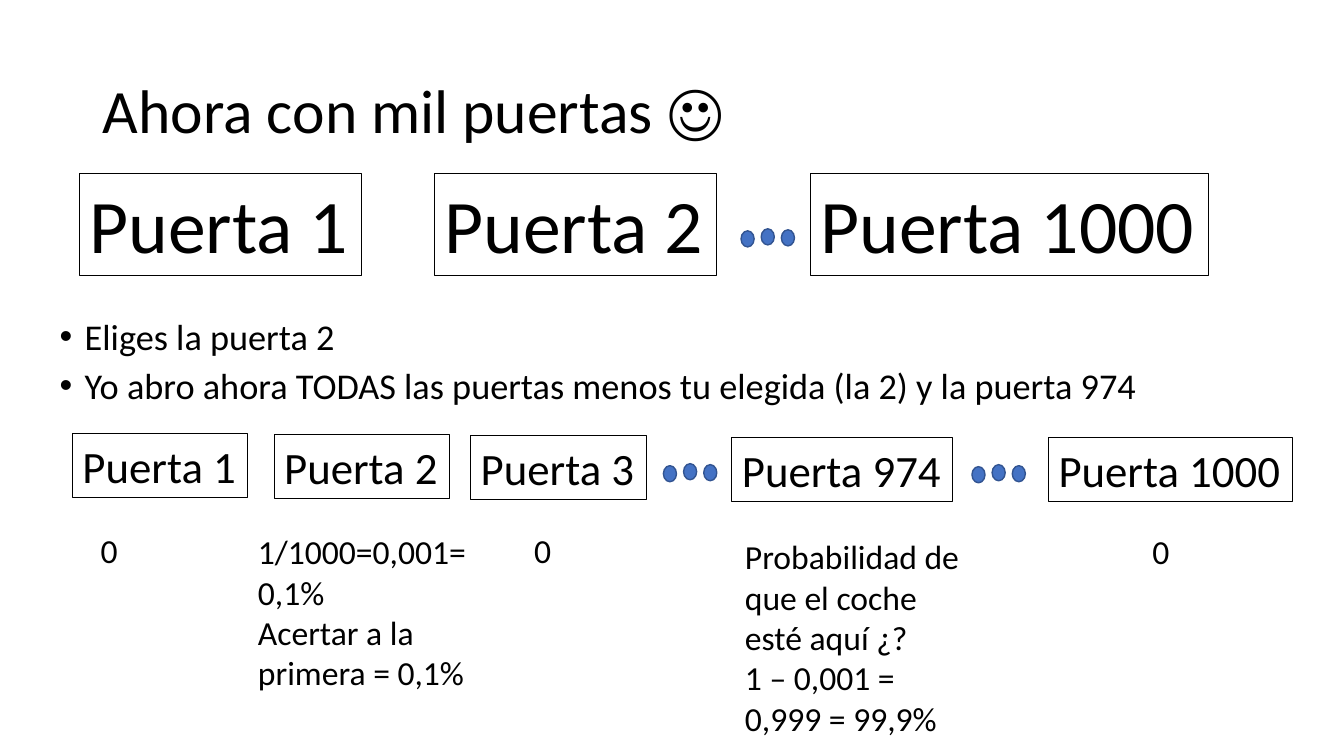
from pptx import Presentation, util as u
from pptx.dml.color import RGBColor
from pptx.enum import shapes, text

# Content: text, then left, top, width, height in inches
TITLE = "Ahora con mil puertas ☺"
STEPS = [
    "Eliges la puerta 2",
    "Yo abro ahora TODAS las puertas menos tu elegida (la 2) y la puerta 974",
]
LARGE_DOORS = [
    ("Puerta 1", 0.79, 1.72, 2.8, 1.01),
    ("Puerta 2", 4.31, 1.72, 2.8, 1.01),
    ("Puerta 1000", 8.04, 1.72, 3.95, 1.01),
]
SMALL_DOORS = [
    ("Puerta 1", 0.72, 4.3, 1.74, 0.64),
    ("Puerta 2", 2.72, 4.31, 1.74, 0.64),
    ("Puerta 3", 4.67, 4.32, 1.74, 0.64),
    ("Puerta 974", 7.26, 4.34, 2.19, 0.64),
    ("Puerta 1000", 10.4, 4.34, 2.42, 0.64),
]
CHANCES = [
    (["0"], 0.9, 5.21, 1.56, 0.5),
    (["1/1000=0,001=0,1%", "Acertar a la primera = 0,1%"], 2.46, 5.22, 2.42, 1.72),
    (["0"], 5.2, 5.21, 0.69, 0.5),
    (["Probabilidad de que el coche esté aquí ¿?", "1 – 0,001 = 0,999 = 99,9%"],
     7.29, 5.27, 2.42, 2.12),
    (["0"], 11.33, 5.22, 0.69, 0.5),
]
ELLIPSES = [(7.35, 2.29), (6.58, 4.62), (9.64, 4.63)]
DOT_STEP = 0.2
DOT_RISES = [0, 0.02, 0.01]
BLACK, BLUE, DARK_BLUE = "000000", "4472C4", "325491"


def color(value):
    return RGBColor.from_string(value)


def place(shape, left, top, width, height):
    shape.left, shape.top = u.Inches(left), u.Inches(top)
    shape.width, shape.height = u.Inches(width), u.Inches(height)


def write(frame, lines, size, spacing=None, before=None, bullet=False):
    for index, line in enumerate(lines):
        para = frame.paragraphs[0] if index == 0 else frame.add_paragraph()
        para.alignment = text.PP_ALIGN.LEFT
        if spacing:
            para.line_spacing = spacing
        if before is not None:
            para.space_before = u.Pt(before)
        if bullet:
            props = para._p.get_or_add_pPr()
            props.set("marL", str(u.Inches(0.25)))
            props.set("indent", str(u.Inches(-0.25)))
        span = para.add_run()
        span.text = line
        span.font.size = u.Pt(size)
        span.font.name = "Calibri"
        span.font.color.rgb = color(BLACK)


def add_text(lines, left, top, width, height, size, wrap=True):
    box = slide.shapes.add_textbox(*map(u.Inches, (left, top, width, height)))
    box.text_frame.word_wrap = wrap
    box.text_frame.auto_size = text.MSO_AUTO_SIZE.SHAPE_TO_FIT_TEXT
    write(box.text_frame, lines, size)
    return box


deck = Presentation()
deck.slide_width, deck.slide_height = u.Inches(13.33), u.Inches(7.5)
slide = deck.slides.add_slide(deck.slide_layouts[1])

# Title and steps
title, body = slide.placeholders
place(title, 0.92, 0.4, 11.5, 1.45)
title.text_frame.vertical_anchor = text.MSO_ANCHOR.MIDDLE
write(title.text_frame, [TITLE], 44, spacing=0.9)
place(body, 0.49, 3.15, 11.5, 1.01)
body.text_frame.auto_size = text.MSO_AUTO_SIZE.NONE
write(body.text_frame, STEPS, 25.9, spacing=0.8, before=10, bullet=True)

# Doors
for doors, size in ((LARGE_DOORS, 54), (SMALL_DOORS, 32)):
    for label, *position in doors:
        door = add_text([label], *position, size, wrap=False)
        door.line.color.rgb = color(BLACK)
        door.line.width = u.Pt(0.75)

# Dots for the doors in between
for left, top in ELLIPSES:
    for index, rise in enumerate(DOT_RISES):
        dot = slide.shapes.add_shape(
            shapes.MSO_SHAPE.FLOWCHART_CONNECTOR,
            u.Inches(left + index * DOT_STEP), u.Inches(top - rise),
            u.Inches(0.13), u.Inches(0.16))
        dot.shadow.inherit = False
        dot.fill.solid()
        dot.fill.fore_color.rgb = color(BLUE)
        dot.line.color.rgb = color(DARK_BLUE)
        dot.line.width = u.Pt(1)

# Probability under each door
for lines, *position in CHANCES:
    add_text(lines, *position, 24)

deck.save("out.pptx")
